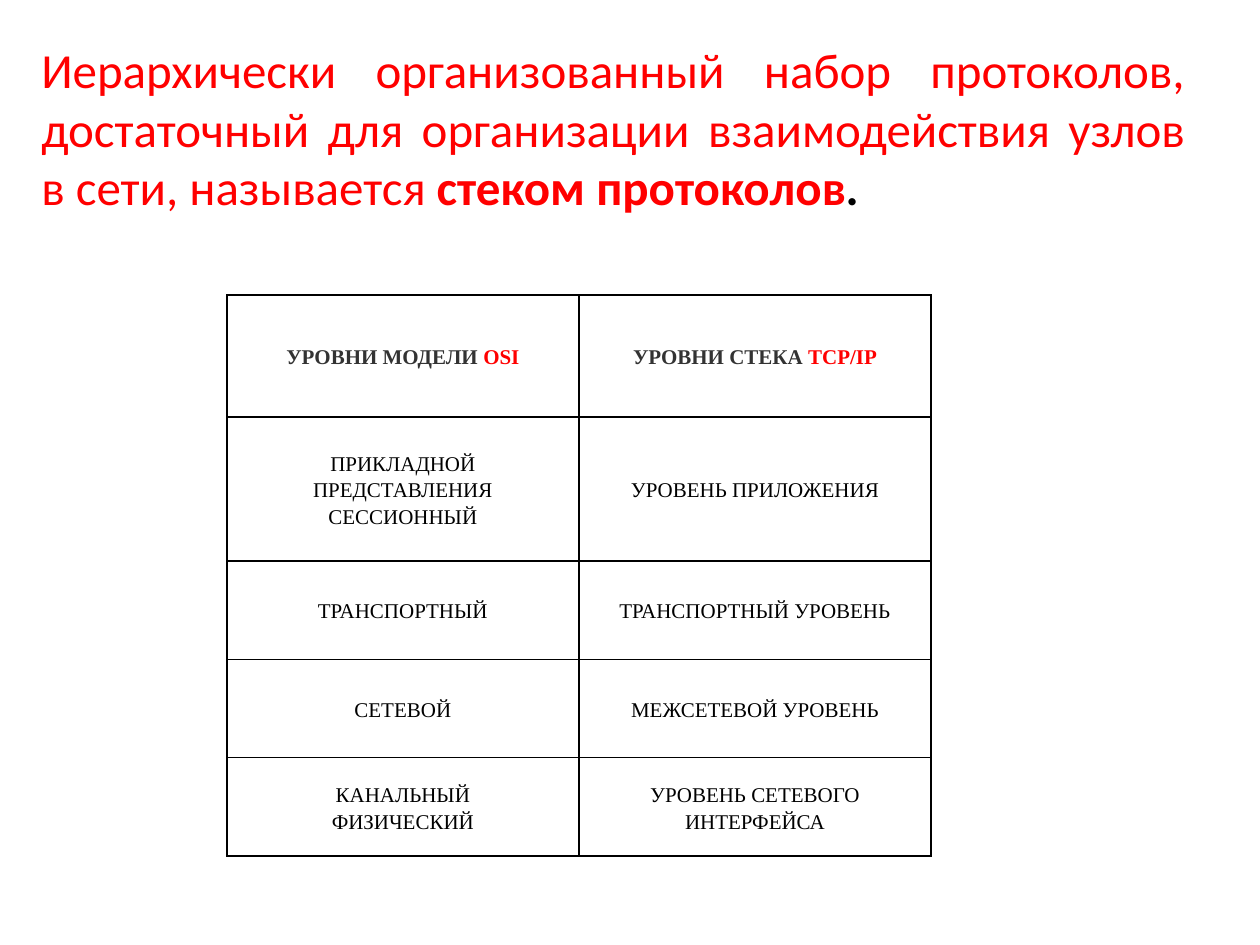
import lxml.etree
import pptx
import pptx.dml.color
import pptx.enum.text
import pptx.oxml.ns
import pptx.util

WIDTH, HEIGHT = pptx.util.Inches(10), pptx.util.Inches(7.5)
COLORS = {"accent": "FF0000", "heading": "333333", "body": "000000", "border": "000000"}
ALIGN = pptx.enum.text.PP_ALIGN
MIDDLE = pptx.enum.text.MSO_ANCHOR.MIDDLE

TITLE_FONT = {"name": "Calibri", "size": pptx.util.Pt(28), "bold": False}
HEAD_FONT = {"name": "Times New Roman", "size": pptx.util.Pt(12), "bold": True}
BODY_FONT = {**HEAD_FONT, "bold": False}
HEAD_PARA = {"alignment": ALIGN.CENTER, "line_spacing": 1.15,
             "space_before": pptx.util.Pt(10)}
BODY_PARA = {"alignment": ALIGN.CENTER, "line_spacing": 1.15,
             "space_after": pptx.util.Pt(10)}
CELL_FORMAT = {"vertical_anchor": MIDDLE} | dict.fromkeys(
    ("margin_left", "margin_right", "margin_top", "margin_bottom"), pptx.util.Inches(0.02))

HEADINGS = [("УРОВНИ МОДЕЛИ ", "OSI"), ("УРОВНИ СТЕКА ", "TCP/IP")]
LEVELS = [
    ("ПРИКЛАДНОЙ\nПРЕДСТАВЛЕНИЯ\nСЕССИОННЫЙ", "УРОВЕНЬ ПРИЛОЖЕНИЯ"),
    ("ТРАНСПОРТНЫЙ", "ТРАНСПОРТНЫЙ УРОВЕНЬ"),
    ("СЕТЕВОЙ", "МЕЖСЕТЕВОЙ УРОВЕНЬ"),
    ("КАНАЛЬНЫЙ\nФИЗИЧЕСКИЙ", "УРОВЕНЬ СЕТЕВОГО ИНТЕРФЕЙСА"),
]
ROW_WEIGHTS = [0.97, 1.14, 0.78, 0.78, 0.78]


def apply(target, values):
    for name, value in values.items():
        setattr(target, name, value)


def share_box(left, top, width, height):
    """Turn shares of the slide into lengths."""
    return (round(left * WIDTH), round(top * HEIGHT),
            round(width * WIDTH), round(height * HEIGHT))


def add_span(para, text, font, color):
    for index, line in enumerate(text.split("\n")):
        if index:
            para.add_line_break()
        span = para.add_run()
        span.text = line
        apply(span.font, font)
        span.font.color.rgb = pptx.dml.color.RGBColor.from_string(COLORS[color])


def add_borders(cell):
    properties = cell._tc.get_or_add_tcPr()
    for index, side in enumerate(("a:lnL", "a:lnR", "a:lnT", "a:lnB")):
        line = lxml.etree.Element(pptx.oxml.ns.qn(side), w=str(pptx.util.Pt(1)))
        fill = lxml.etree.SubElement(line, pptx.oxml.ns.qn("a:solidFill"))
        lxml.etree.SubElement(fill, pptx.oxml.ns.qn("a:srgbClr"), val=COLORS["border"])
        properties.insert(index, line)


def add_definition(page, box):
    frame = page.shapes.add_textbox(*box).text_frame
    apply(frame, {"word_wrap": True, "vertical_anchor": MIDDLE})
    para = frame.paragraphs[0]
    para.alignment = ALIGN.JUSTIFY
    bold = {**TITLE_FONT, "bold": True}
    add_span(para, "Иерархически организованный набор протоколов, достаточный для "
             "организации взаимодействия узлов в сети, называется ", TITLE_FONT, "accent")
    add_span(para, "стеком протоколов", bold, "accent")
    add_span(para, ".", bold, "body")


def add_level_table(page, box):
    rows, columns = len(ROW_WEIGHTS), len(HEADINGS)
    table = page.shapes.add_table(rows, columns, *box).table
    apply(table, {"first_row": False, "horz_banding": False})
    for column in table.columns:
        column.width = box[2] // columns
    for row, weight in zip(table.rows, ROW_WEIGHTS):
        row.height = round(box[3] * weight / sum(ROW_WEIGHTS))

    # Cell frames
    for cell in table.iter_cells():
        apply(cell, CELL_FORMAT)
        cell.fill.background()
        add_borders(cell)

    # Heading row
    for column, (label, model) in enumerate(HEADINGS):
        para = table.cell(0, column).text_frame.paragraphs[0]
        apply(para, HEAD_PARA)
        add_span(para, label, HEAD_FONT, "heading")
        add_span(para, model, HEAD_FONT, "accent")

    # Matching levels
    for row, levels in enumerate(LEVELS, start=1):
        for column, level in enumerate(levels):
            para = table.cell(row, column).text_frame.paragraphs[0]
            apply(para, BODY_PARA)
            add_span(para, level, BODY_FONT, "body")


def main():
    deck = pptx.Presentation()
    apply(deck, {"slide_width": WIDTH, "slide_height": HEIGHT})
    page = deck.slides.add_slide(deck.slide_layouts[6])
    add_level_table(page, share_box(0.18, 0.312, 0.559, 0.594))
    add_definition(page, share_box(0.023, 0.04, 0.927, 0.19))
    deck.save("out.pptx")


if __name__ == "__main__":
    main()
